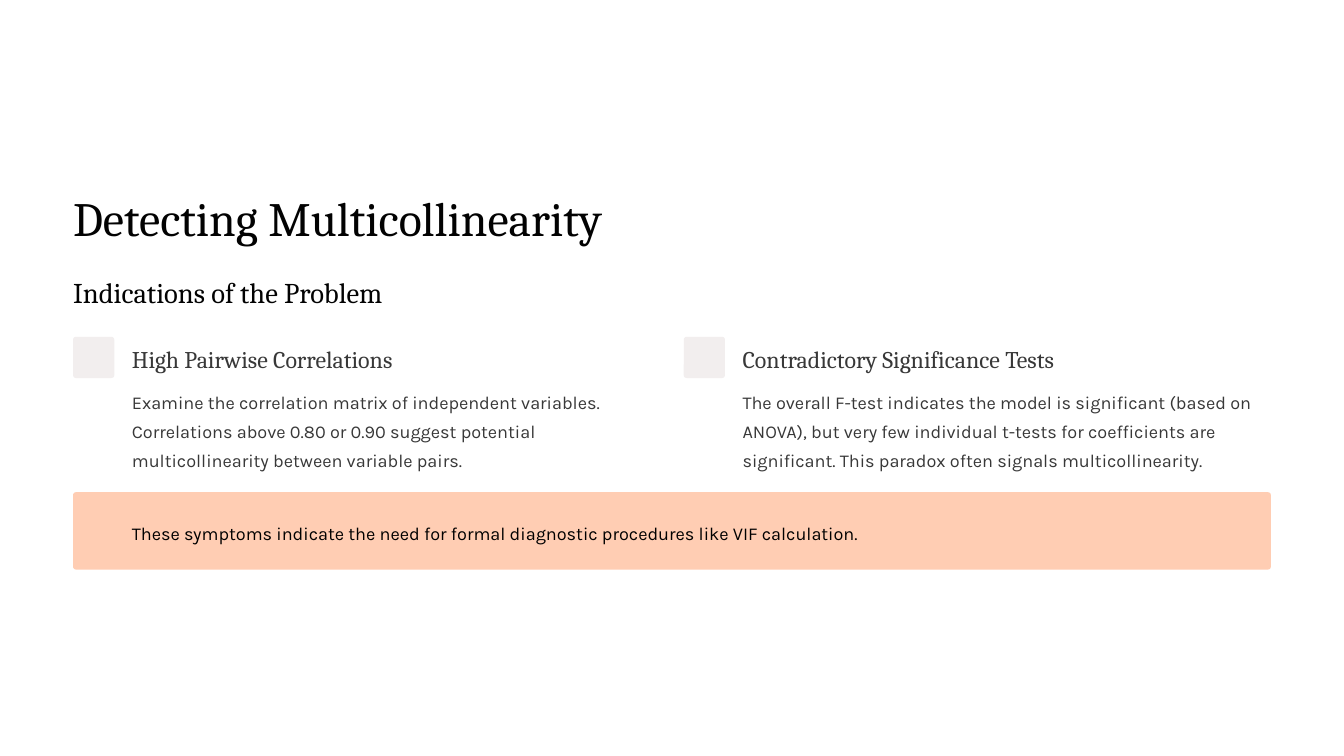
from dataclasses import dataclass

from pptx import Presentation
from pptx.dml.color import RGBColor as RGB
from pptx.enum.shapes import MSO_SHAPE as Shape
from pptx.enum.text import MSO_ANCHOR as Anchor, MSO_AUTO_SIZE as AutoSize, PP_ALIGN as Align
from pptx.shapes.autoshape import Shape as AutoShape
from pptx.slide import Slide
from pptx.util import Inches, Pt


@dataclass(frozen=True)
class TextStyle:
    font: str
    size: float
    leading: float
    color: str


@dataclass(frozen=True)
class Theme:
    background: str = "FFFFFF"
    marker: str = "F2EEEE"
    callout: str = "FFCDB3"
    title: TextStyle = TextStyle("Cambria", 41, 51, "020202")
    subtitle: TextStyle = TextStyle("Cambria", 24.5, 30.5, "020202")
    heading: TextStyle = TextStyle("Cambria", 20.5, 25.5, "383838")
    body: TextStyle = TextStyle("Karla", 15.5, 25, "383838")
    note: TextStyle = TextStyle("Karla", 15.5, 25, "000000")


@dataclass(frozen=True)
class Box:
    left: float
    top: float
    width: float
    height: float

    def lengths(self) -> list[int]:
        return [Inches(v) for v in (self.left, self.top, self.width, self.height)]


@dataclass(frozen=True)
class Symptom:
    heading: str
    heading_width: float
    body: str


THEME = Theme()
MARGIN = 0.87
INDENT = 0.7
COLUMN_STEP = 7.27
CORNER = 0.033

SYMPTOMS = [
    Symptom(
        "High Pairwise Correlations", 3.39,
        "Examine the correlation matrix of independent variables. Correlations above "
        "0.80 or 0.90 suggest potential multicollinearity between variable pairs.",
    ),
    Symptom(
        "Contradictory Significance Tests", 4.09,
        "The overall F-test indicates the model is significant (based on ANOVA), but "
        "very few individual t-tests for coefficients are significant. This paradox "
        "often signals multicollinearity.",
    ),
]


def write_text(s: AutoShape, text: str, style: TextStyle) -> None:
    tf = s.text_frame
    frame_format = {
        "margin_left": 0, "margin_top": 0, "margin_right": 0, "margin_bottom": 0,
        "word_wrap": True, "auto_size": AutoSize.NONE, "vertical_anchor": Anchor.TOP,
    }
    for name, value in frame_format.items():
        setattr(tf, name, value)
    p = tf.paragraphs[0]
    p.alignment = Align.LEFT
    p.line_spacing = Pt(style.leading)
    r = p.add_run()
    r.text = text
    for name, value in {"name": style.font, "size": Pt(style.size)}.items():
        setattr(r.font, name, value)
    r.font.color.rgb = RGB.from_string(style.color)


def add_text(slide: Slide, box: Box, text: str, style: TextStyle) -> None:
    write_text(slide.shapes.add_textbox(*box.lengths()), text, style)


def add_panel(slide: Slide, box: Box, color: str) -> None:
    """Draw a filled rectangle whose corner radius is the same at any size."""
    s = slide.shapes.add_shape(Shape.ROUNDED_RECTANGLE, *box.lengths())
    s.adjustments[0] = CORNER / box.height
    s.shadow.inherit = False
    s.fill.solid()
    s.fill.fore_color.rgb = RGB.from_string(color)
    s.line.fill.background()


def add_title(slide: Slide, box: Box, text: str) -> None:
    s = slide.shapes.title
    s.left, s.top, s.width, s.height = box.lengths()
    write_text(s, text, THEME.title)


def add_symptom(slide: Slide, left: float, symptom: Symptom) -> None:
    add_panel(slide, Box(left, 4.01, 0.49, 0.49), THEME.marker)
    text_left = left + INDENT
    add_text(slide, Box(text_left, 4.09, symptom.heading_width, 0.36),
             symptom.heading, THEME.heading)
    add_text(slide, Box(text_left, 4.57, 6.29, 1.04), symptom.body, THEME.body)


def main() -> None:
    prs = Presentation()
    prs.slide_width, prs.slide_height = Inches(16), Inches(9)
    slide = prs.slides.add_slide(prs.slide_layouts.get_by_name("Title Only"))
    fill = slide.background.fill
    fill.solid()
    fill.fore_color.rgb = RGB.from_string(THEME.background)

    add_title(slide, Box(MARGIN, 2.22, 6.87, 0.71), "Detecting Multicollinearity")
    add_text(slide, Box(MARGIN, 3.26, 4.05, 0.43), "Indications of the Problem", THEME.subtitle)
    for i, symptom in enumerate(SYMPTOMS):
        add_symptom(slide, MARGIN + i * COLUMN_STEP, symptom)

    add_panel(slide, Box(MARGIN, 5.86, 14.26, 0.92), THEME.callout)
    add_text(slide, Box(MARGIN + INDENT, 6.13, 13.34, 0.35),
             "These symptoms indicate the need for formal diagnostic procedures "
             "like VIF calculation.", THEME.note)
    prs.save("out.pptx")


if __name__ == "__main__":
    main()
